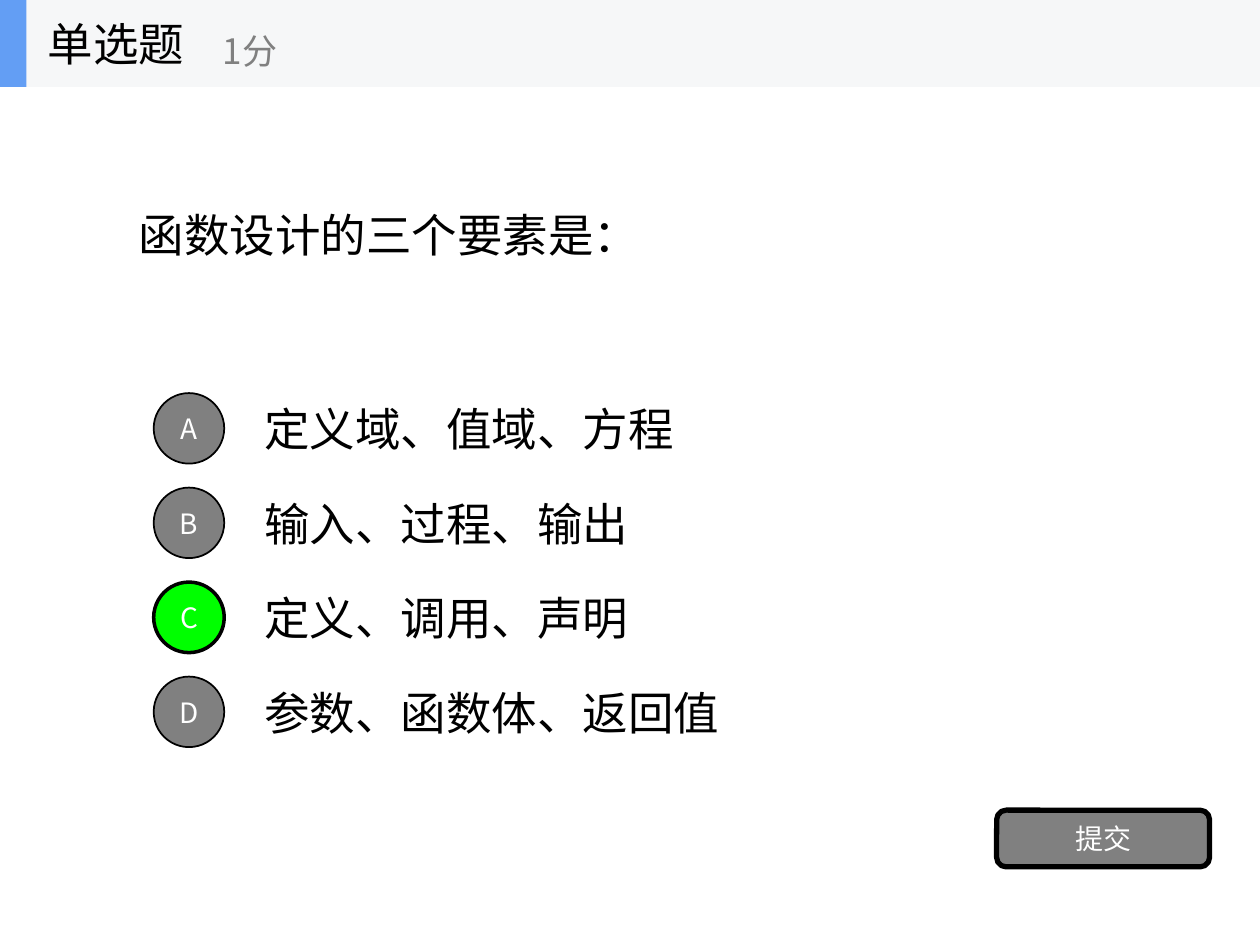
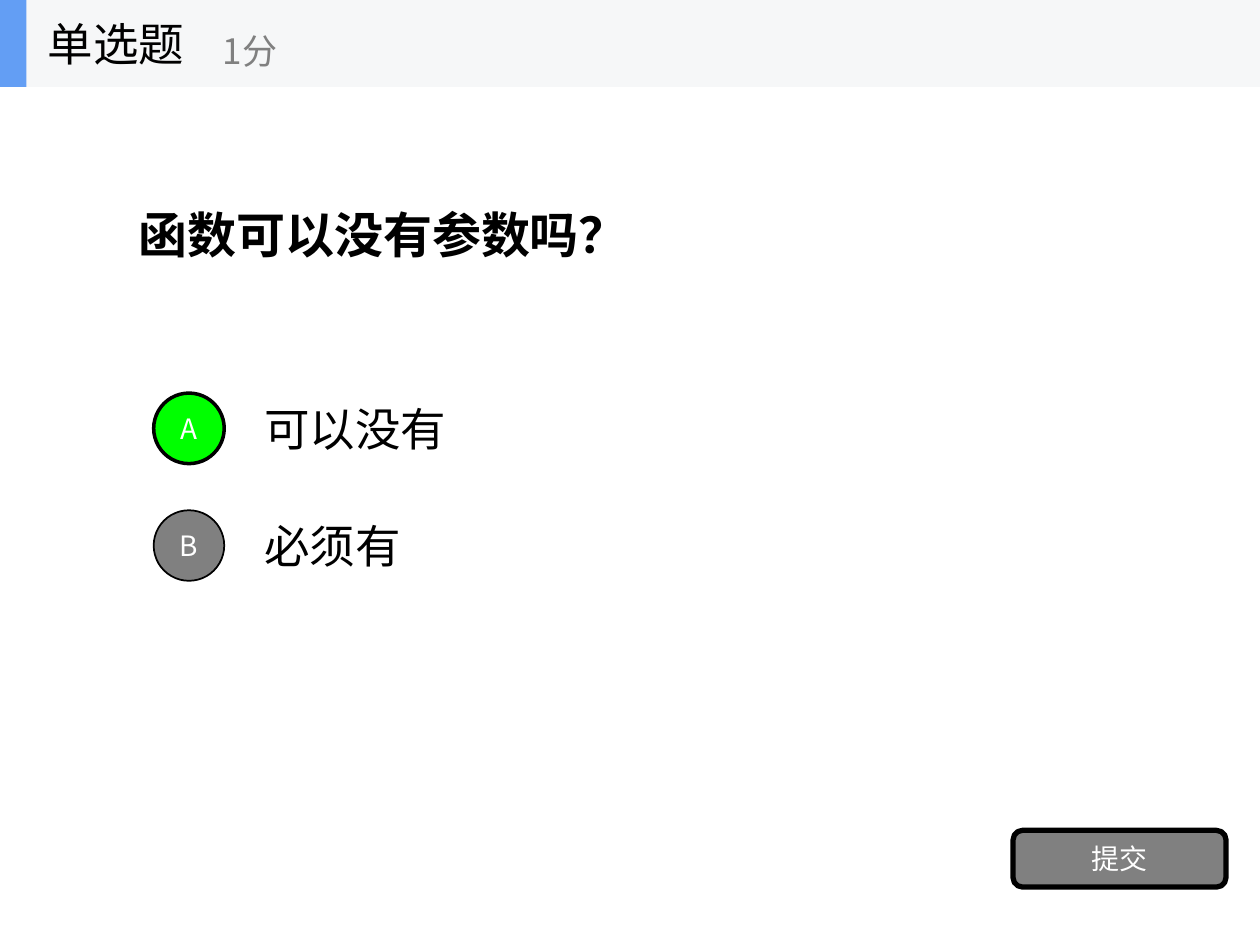
"""Build two single-choice quiz slides with a shared header, options and submit button."""
from lxml.etree import SubElement
from pptx import Presentation
from pptx.dml.color import RGBColor
from pptx.enum.shapes import MSO_SHAPE
from pptx.enum.text import MSO_ANCHOR, MSO_AUTO_SIZE, PP_ALIGN
from pptx.oxml.ns import qn
from pptx.util import Inches, Pt

FONT = "Noto Sans CJK SC"
COLORS = {
    "ink": "000000",
    "paper": "FFFFFF",
    "muted": "808080",
    "correct": "00FF00",
    "band": "F6F7F8",
    "accent": "639EF4",
}
BAND_HEIGHT = 0.69
OPTION_TOP = 3.05
OPTION_HEIGHT = 0.7
BADGE_SIZE = 0.56

QUESTIONS = [
    {
        "question": "函数设计的三个要素是：",
        "options": ["定义域、值域、方程", "输入、过程、输出", "定义、调用、声明", "参数、函数体、返回值"],
        "answer": "C",
        "pitch": 0.75,
        "submit_at": (7.91, 6.43),
        "style": {"size": 26},
    },
    {
        "question": "函数可以没有参数吗？",
        "options": ["可以没有", "必须有"],
        "answer": "A",
        "pitch": 0.93,
        "submit_at": (8.04, 6.59),
        "style": {"size": 28, "bold": True},
    },
]


def color(key):
    """Return the named palette colour."""
    return RGBColor.from_string(COLORS[key])


def write(shape, text, size=26, ink="ink", bold=False, align=PP_ALIGN.LEFT, wrap=True):
    """Put one formatted, vertically centred line of text into a shape."""
    frame = shape.text_frame
    frame.auto_size = MSO_AUTO_SIZE.NONE
    frame.word_wrap = wrap
    frame.vertical_anchor = MSO_ANCHOR.MIDDLE
    paragraph = frame.paragraphs[0]
    paragraph.alignment = align
    run = paragraph.add_run()
    run.text = text
    run.font.size = Pt(size)
    run.font.bold = bold
    run.font.color.rgb = color(ink)
    run.font.name = FONT
    SubElement(run.font._element, qn("a:ea"), typeface=FONT)


def add_label(shapes, text, left, top, width, height, **style):
    """Add a text box."""
    box = shapes.add_textbox(Inches(left), Inches(top), Inches(width), Inches(height))
    write(box, text, **style)


def add_block(shapes, kind, left, top, width, height, fill, line_width=0):
    """Add a filled preset shape, outlined when a line width is given."""
    block = shapes.add_shape(kind, Inches(left), Inches(top), Inches(width), Inches(height))
    block.shadow.inherit = False
    block.fill.solid()
    block.fill.fore_color.rgb = color(fill)
    if line_width:
        block.line.color.rgb = color("ink")
        block.line.width = Pt(line_width)
    else:
        block.line.fill.background()
    return block


def add_header(slide):
    """Add the grouped band with the question type and its score."""
    header = slide.shapes.add_group_shape().shapes
    add_block(header, MSO_SHAPE.RECTANGLE, 0, 0, 10, BAND_HEIGHT, "band")
    add_block(header, MSO_SHAPE.RECTANGLE, 0, 0, 0.21, BAND_HEIGHT, "accent")
    add_label(header, "单选题", 0.28, 0, 2.08, BAND_HEIGHT, wrap=False)
    add_label(header, "1分", 1.67, 0.12, 2.5, 0.56, size=20, ink="muted", wrap=False)


def add_question(slide, text, **style):
    """Place the question in the title placeholder."""
    title = slide.shapes.title
    title.left, title.top = Inches(1), Inches(BAND_HEIGHT)
    title.width, title.height = Inches(8), Inches(2.34)
    write(title, text, **style)


def add_option(slide, letter, text, top, is_correct):
    """Add one answer with its lettered badge."""
    add_label(slide.shapes, text, 2, top, 7, OPTION_HEIGHT)
    badge = add_block(
        slide.shapes, MSO_SHAPE.OVAL, 1.22, top + (OPTION_HEIGHT - BADGE_SIZE) / 2,
        BADGE_SIZE, BADGE_SIZE,
        fill="correct" if is_correct else "muted", line_width=2 if is_correct else 1,
    )
    badge.text_frame.margin_left = badge.text_frame.margin_right = 0
    write(badge, letter, size=16, ink="paper", align=PP_ALIGN.CENTER)


def add_submit(slide, left, top):
    """Add the submit button."""
    button = add_block(slide.shapes, MSO_SHAPE.ROUNDED_RECTANGLE, left, top, 1.69, 0.45,
                       "muted", line_width=3)
    write(button, "提交", size=16, ink="paper", align=PP_ALIGN.CENTER)


def add_quiz_slide(deck, quiz):
    """Add one complete question slide."""
    slide = deck.slides.add_slide(deck.slide_layouts[5])
    slide.background.fill.solid()
    slide.background.fill.fore_color.rgb = color("paper")
    add_question(slide, quiz["question"], **quiz["style"])
    for row, (letter, text) in enumerate(zip("ABCD", quiz["options"])):
        add_option(slide, letter, text, OPTION_TOP + row * quiz["pitch"], letter == quiz["answer"])
    add_submit(slide, *quiz["submit_at"])
    add_header(slide)


def main():
    """Build and save the deck."""
    deck = Presentation()
    deck.slide_width, deck.slide_height = Inches(10), Inches(7.5)
    for quiz in QUESTIONS:
        add_quiz_slide(deck, quiz)
    deck.save("out.pptx")


if __name__ == "__main__":
    main()
